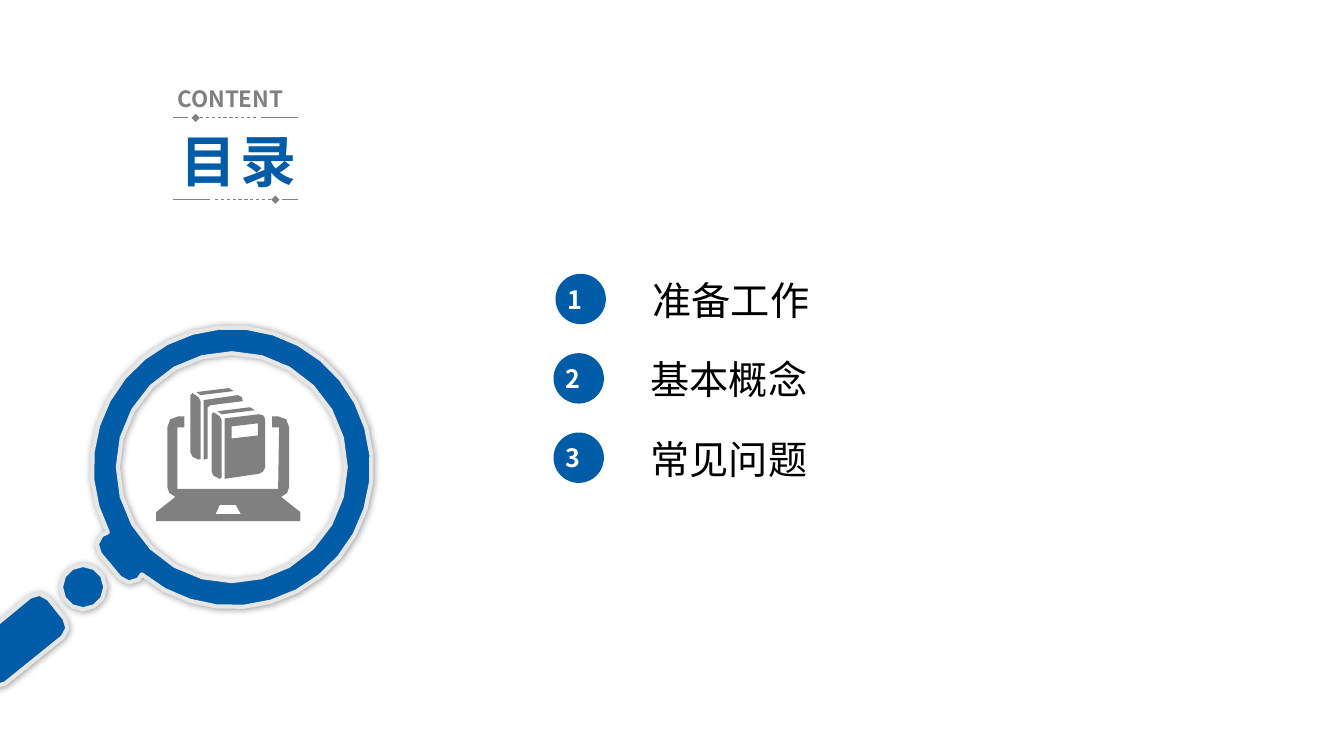
import math
from lxml import etree
from pptx import Presentation
from pptx import util as u
from pptx.dml.color import RGBColor
from pptx.enum import dml, shapes, text
from pptx.oxml import ns, parse_xml

BLUE = RGBColor(0x00, 0x5C, 0xA7)
GRAY = RGBColor(0x80, 0x80, 0x80)
PALE = RGBColor(0xE7, 0xE6, 0xE6)
BLACK = RGBColor(0, 0, 0)
WHITE = RGBColor(255, 255, 255)
FONT = "Noto Sans CJK SC"
INCH = u.Cm(2.54)

deck = Presentation()
deck.slide_width, deck.slide_height = u.Cm(33.87), u.Cm(19.05)
page = deck.slides.add_slide(deck.slide_layouts[6])


def add_text(words, left, top, width, height, size, color, parent=page,
             bold=False, align=None, wrap=True, spacing=None):
    box = parent.shapes.add_textbox(u.Cm(left), u.Cm(top), u.Cm(width), u.Cm(height))
    box.text_frame.word_wrap = wrap
    box.text_frame.auto_size = text.MSO_AUTO_SIZE.SHAPE_TO_FIT_TEXT
    para = box.text_frame.paragraphs[0]
    para.alignment = align
    span = para.add_run()
    span.text = words
    span.font.name, span.font.size = FONT, u.Pt(size)
    span.font.bold, span.font.color.rgb = bold, color
    props = span.font._element
    etree.SubElement(props, ns.qn("a:ea")).set("typeface", FONT)
    if spacing:
        props.set("spc", str(spacing * 100))


def arc(x, y, radius, start, end, steps=2):
    angles = [math.radians(start + (end - start) * i / steps) for i in range(steps + 1)]
    return [(x + radius * math.cos(a), y + radius * math.sin(a)) for a in angles]


TILT = 50.6
ring = (arc(2.3, 4.635, 1.39, 130, -207.7, 30)
        + arc(1.09, 5.41, 0.13, TILT + 180, TILT + 90)
        + arc(1.29, 5.65, 0.13, TILT + 90, TILT))
lens = arc(2.3, 4.635, 1.13, 0, 345, 23)
joint = arc(0.825, 5.825, 0.22, 0, 330, 11)
handle = []
for turn, (x, y) in enumerate([(-0.03, 6.68), (0.54, 6.22), (0.38, 6.02), (-0.18, 6.48)]):
    start = TILT + 90 - 90 * turn
    handle += arc(x, y, 0.13, start, start - 90)

half_frame = [(1.76, 4.24), (1.83, 4.24), (1.83, 4.13), (1.77, 4.13),
              (1.69, 4.16), (1.66, 4.24), (1.66, 4.83), (1.68, 4.89), (1.74, 4.93),
              (1.55, 5.08), (1.55, 5.17)]
frame = half_frame + [(4.53 - x, y) for x, y in reversed(half_frame)]
frame += [(2.76, 4.85), (1.76, 4.85)]
touchpad = [(2.18, 5.01), (2.34, 5.01), (2.39, 5.1), (2.14, 5.1)]
front_cover = [(2.23, 4.15), (2.57, 4.11), (2.61, 4.12), (2.63, 4.15), (2.63, 4.64),
               (2.61, 4.68), (2.57, 4.7), (2.23, 4.75)]
label = [(2.3, 4.23), (2.56, 4.2), (2.56, 4.32), (2.3, 4.35)]
back_cover = [(2.02, 3.97), (2.36, 3.92), (2.4, 3.94), (2.41, 3.98), (2.09, 4.02),
              (2.06, 4.04), (2.06, 4.55), (2.02, 4.56)]
top_edge = [(1.95, 3.89), (1.99, 3.92), (2.32, 3.88), (2.27, 3.85)]
spine = [(1.91, 3.9), (1.97, 3.94), (1.99, 3.98), (1.99, 4.55), (1.97, 4.56),
         (1.91, 4.53), (1.89, 4.49), (1.89, 3.92)]
front_edges = [[(x + 0.21, y + 0.19) for x, y in part] for part in (top_edge, spine)]
magnifier = [handle, ring, lens, joint]
laptop = [frame, touchpad, top_edge, spine, *front_edges, front_cover, label, back_cover]

for y, mirrored in [(2.97, False), (5.03, True)]:
    rules = page.shapes.add_group_shape()
    for start, end, dashed in [(7.52, 6.58, False), (6.45, 4.93, True), (4.75, 4.35, False)]:
        if mirrored:
            start, end = 11.87 - start, 11.87 - end
        rule = rules.shapes.add_connector(
            shapes.MSO_CONNECTOR.STRAIGHT, u.Cm(start), u.Cm(y), u.Cm(end), u.Cm(y))
        rule.line.color.rgb, rule.line.width = GRAY, u.Pt(0.6)
        if dashed:
            rule.line.dash_style = dml.MSO_LINE.DASH
            stroke = rule.line._get_or_add_ln()
            etree.SubElement(stroke, ns.qn("a:tailEnd")).set("type", "diamond")
        etree.SubElement(rule._element.spPr, ns.qn("a:effectLst"))

JUSTIFY = text.PP_ALIGN.JUSTIFY
add_text("目录", 3.69, 3.06, 4.65, 1.96, 40, BLUE, bold=True,
         align=text.PP_ALIGN.CENTER, spacing=3)
add_text("CONTENT", 4.22, 2.03, 3.45, 0.94, 16, GRAY, bold=True, align=JUSTIFY)

emblem = page.shapes.add_group_shape()
for contours, color in [(magnifier, BLUE), (laptop, GRAY)]:
    builder = None
    for contour in contours:
        points = [(x * INCH, y * INCH) for x, y in contour]
        if builder is None:
            builder = emblem.shapes.build_freeform(*points[0])
        else:
            builder.move_to(*points[0])
        builder.add_line_segments(points[1:], close=True)
    outline = builder.convert_to_shape()
    outline.shadow.inherit = False
    outline.fill.solid()
    outline.fill.fore_color.rgb = color
    if contours is magnifier:
        outline.line.color.rgb, outline.line.width = PALE, u.Pt(3)
        effects = outline._element.spPr.find(ns.qn("a:effectLst"))
        effects.append(parse_xml(
            f'<a:outerShdw {ns.nsdecls("a")} blurRad="63500" dist="0" algn="ctr" '
            'rotWithShape="0"><a:srgbClr val="000000"><a:alpha val="40000"/>'
            '</a:srgbClr></a:outerShdw>'))
    else:
        outline.line.fill.background()

entries = [("准备工作", 14), ("基本概念", 13.95), ("常见问题", 13.95)]
for row, (topic, left) in enumerate(entries):
    top = 6.9 + 2 * row
    add_text(topic, left + 2.2, top - 0.06, 4.45, 1.45, 28, BLACK, wrap=False)
    marker = page.shapes.add_group_shape()
    badge = marker.shapes.add_shape(
        shapes.MSO_SHAPE.OVAL, u.Cm(left), u.Cm(top), u.Cm(1.27), u.Cm(1.27))
    badge.shadow.inherit = False
    badge.fill.solid()
    badge.fill.fore_color.rgb = BLUE
    badge.line.fill.background()
    add_text(str(row + 1), left + 0.05, top + 0.13, 1.09, 1.02, 18, WHITE,
             parent=marker, bold=True, align=JUSTIFY)

deck.save("out.pptx")
